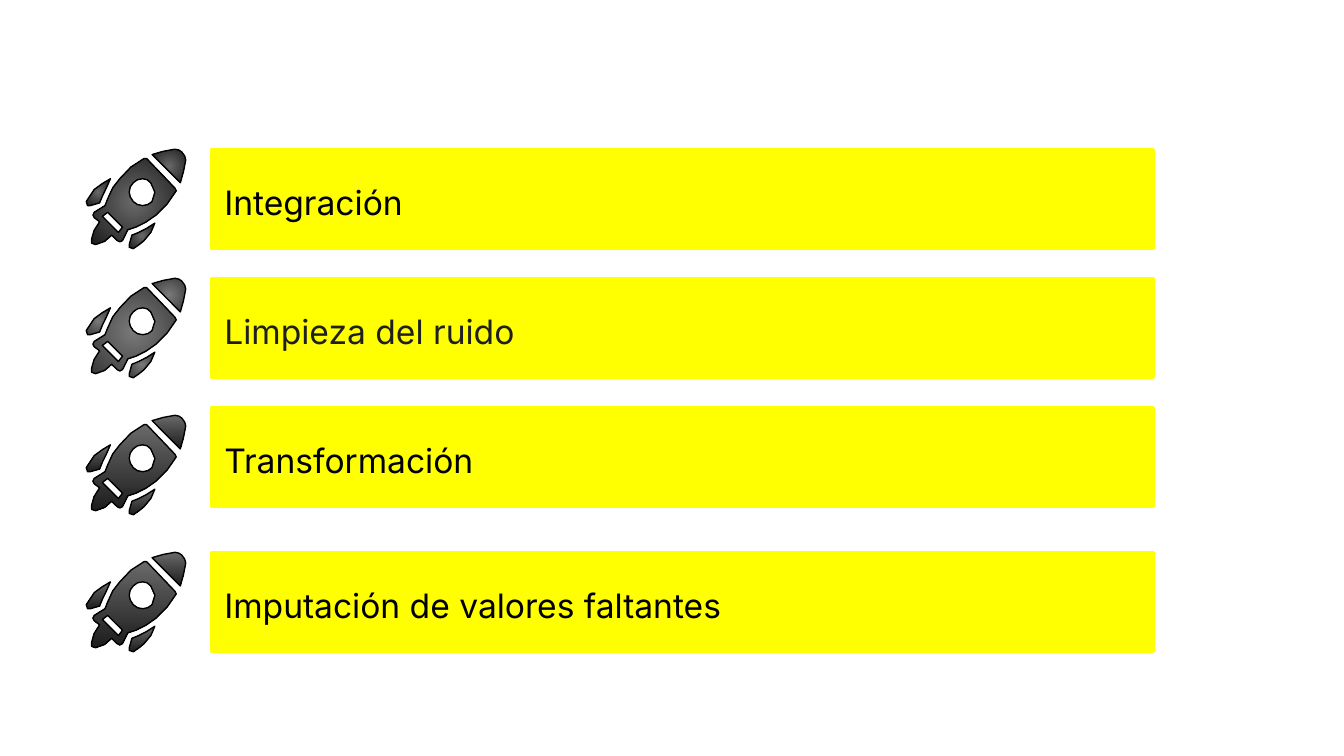
from pptx import Presentation
from pptx.dml.color import RGBColor
from pptx.enum.shapes import MSO_SHAPE
from pptx.enum.text import MSO_ANCHOR, PP_ALIGN
from pptx.oxml import parse_xml
from pptx.oxml.ns import nsdecls, qn
from pptx.util import Cm, Pt

RECTANGLE = MSO_SHAPE.RECTANGLE
MIDDLE = MSO_ANCHOR.MIDDLE
JUSTIFY = PP_ALIGN.JUSTIFY

YELLOW = RGBColor(0xFF, 0xFF, 0x01)
BLACK = RGBColor(0x00, 0x00, 0x00)
CHARCOAL = RGBColor(0x1F, 0x1F, 0x1F)
DARK_METAL = (RGBColor(0x69, 0x69, 0x69), RGBColor(0x1D, 0x1D, 0x1D))
LIGHT_METAL = (RGBColor(0x7A, 0x7A, 0x7A), RGBColor(0x39, 0x39, 0x39))

FONT = "Inter"
ROCKET_LEFT = Cm(1.63)
ROCKET_UNIT = Cm(0.0254)

PORTHOLE = [(42, 22), (44, 22, 47, 23, 48, 25), (52, 29, 52, 35, 49, 39),
            (47, 41, 45, 42, 42, 42), (39, 42, 37, 41, 35, 39),
            (33, 37, 32, 34, 32, 32), (32, 29, 33, 27, 35, 25),
            (37, 23, 39, 22, 42, 22)]
SLOT = [(16, 47), (27, 58), (24, 62), (12, 50)]
HULL = [(44, 7), (43, 7), (36, 10, 30, 16, 25, 22), (21, 26, 18, 31, 16, 37),
        (14, 42), (6, 47), (5, 49), (6, 51), (10, 54),
        (7, 58, 4, 63, 4, 67), (4, 70), (7, 71), (11, 71, 17, 67, 19, 64),
        (23, 68), (25, 69), (27, 68), (31, 60), (37, 58),
        (42, 56, 47, 53, 52, 49), (58, 44, 63, 38, 67, 31), (66, 29), (45, 7)]
NOSE = [(66, 0), (60, 1, 54, 2, 49, 4), (70, 25), (72, 19, 73, 14, 74, 8),
        (74, 6, 73, 4, 71, 2), (70, 1, 68, 0, 66, 0)]
LOWER_FIN = [(51, 55), (47, 58, 43, 60, 39, 62), (34, 64), (32, 71), (32, 73),
             (35, 74), (38, 72, 41, 70, 43, 68), (47, 64, 50, 60, 51, 55)]
LEFT_FIN = [(18, 22), (14, 24, 10, 27, 6, 30), (4, 33, 2, 36, 0, 39), (1, 42),
            (3, 42), (10, 40), (12, 35), (14, 31, 16, 27, 18, 22)]
ROCKET_PARTS = [[PORTHOLE, SLOT, HULL], [NOSE], [LOWER_FIN], [LEFT_FIN]]

STEPS = [
    ("Integración", BLACK, Cm(2.82), Cm(2.82), DARK_METAL, True),
    ("Limpieza del ruido", CHARCOAL, Cm(5.26), Cm(5.26), LIGHT_METAL, True),
    ("Transformación", BLACK, Cm(7.7), Cm(7.85), DARK_METAL, False),
    ("Imputación de valores faltantes", BLACK, Cm(10.44), Cm(10.44), DARK_METAL, False),
]


def curve_middle(a, b, c, d):
    return (a + 3 * b + 3 * c + d) / 8


def contour_points(contour):
    points = [contour[0]]
    for segment in contour[1:]:
        if len(segment) == 6:
            control = points[-1] + segment
            points.append((curve_middle(*control[0::2]), curve_middle(*control[1::2])))
        points.append(segment[-2:])
    return [(x * ROCKET_UNIT, y * ROCKET_UNIT) for x, y in points]


def fill_gradient(shape, colors, radial):
    shape.fill.gradient()
    shape.fill.gradient_angle = 270
    for stop, color in zip(shape.fill.gradient_stops, colors):
        stop.color.rgb = color
    if radial:
        linear = shape._element.spPr.find(".//" + qn("a:lin"))
        circle = parse_xml(
            f'<a:path {nsdecls("a")} path="circle">'
            '<a:fillToRect l="50000" t="50000" r="50000" b="50000"/></a:path>')
        linear.getparent().replace(linear, circle)


def add_rocket(slide, top, colors, radial):
    for contours in ROCKET_PARTS:
        outlines = [contour_points(contour) for contour in contours]
        builder = slide.shapes.build_freeform(*outlines[0][0])
        for index, points in enumerate(outlines):
            if index:
                builder.move_to(*points[0])
            builder.add_line_segments(points[1:], close=True)
        shape = builder.convert_to_shape(ROCKET_LEFT, top)
        shape.shadow.inherit = False
        fill_gradient(shape, colors, radial)
        shape.line.color.rgb = BLACK
        shape.line.width = Pt(0.75)


def add_bar(slide, text, color, top):
    shape = slide.shapes.add_shape(RECTANGLE, Cm(3.99), top, Cm(17.81), Cm(1.88))
    shape.shadow.inherit = False
    shape.fill.solid()
    shape.fill.fore_color.rgb = YELLOW
    shape.line.color.rgb = YELLOW
    shape.line.width = Pt(1.5)
    frame = shape.text_frame
    frame.word_wrap = True
    frame.vertical_anchor = MIDDLE
    frame.margin_left = frame.margin_right = Cm(0.25)
    frame.margin_top = frame.margin_bottom = Cm(0.25)
    frame.text = text
    paragraph = frame.paragraphs[0]
    paragraph.alignment = JUSTIFY
    paragraph.line_spacing = 1.15
    font = paragraph.runs[0].font
    font.name = FONT
    font.size = Pt(18)
    font.color.rgb = color


def main():
    presentation = Presentation()
    presentation.slide_width = Cm(25.4)
    presentation.slide_height = Cm(14.29)
    slide = presentation.slides.add_slide(presentation.slide_layouts[6])
    for text, color, bar_top, rocket_top, metal, radial in STEPS:
        add_bar(slide, text, color, bar_top)
        add_rocket(slide, rocket_top, metal, radial)
    presentation.save("out.pptx")


if __name__ == "__main__":
    main()
